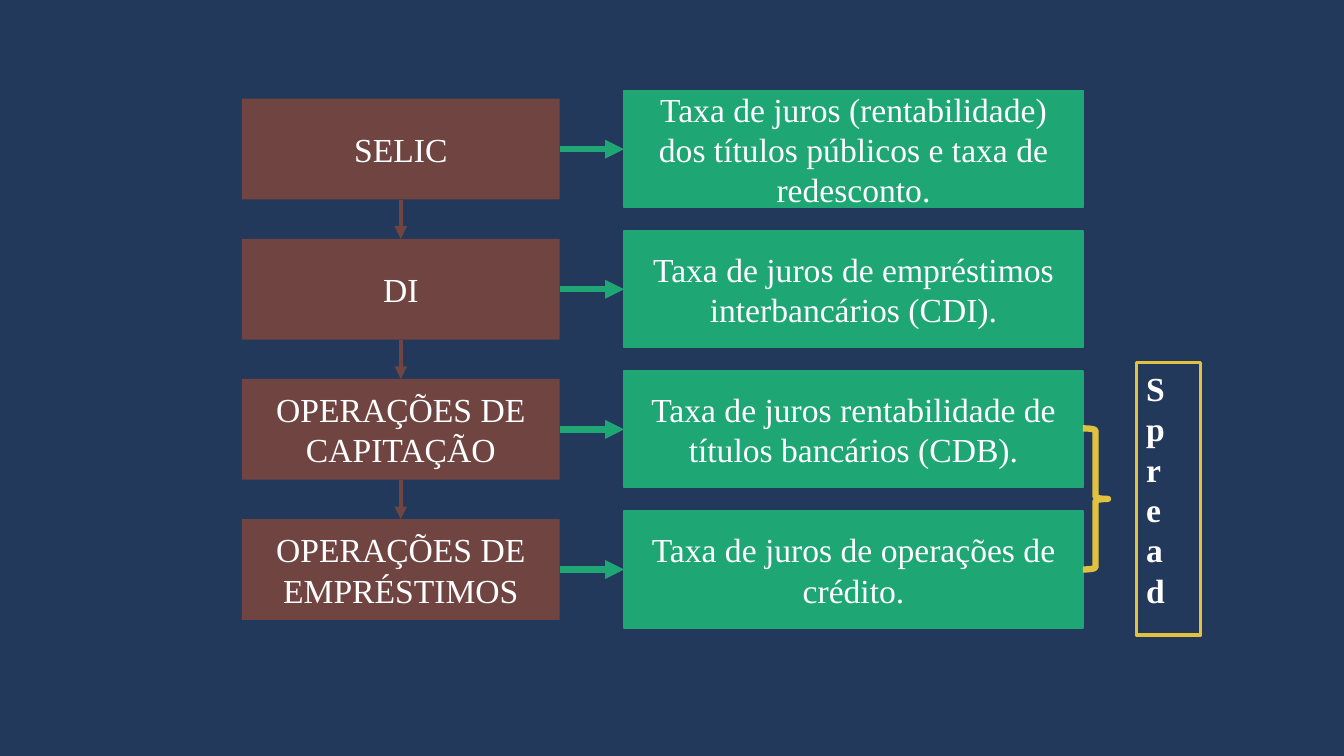
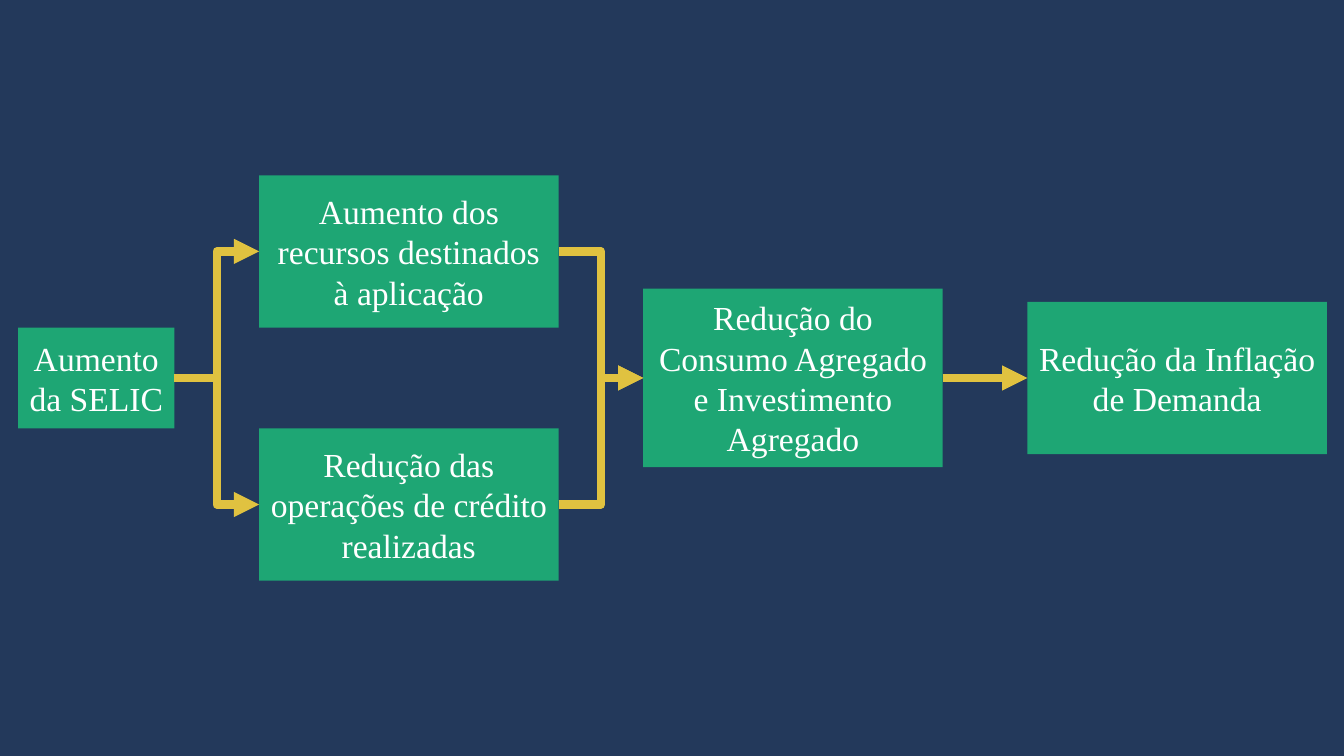
from collections import namedtuple
from dataclasses import dataclass

from lxml.etree import SubElement
from pptx import Presentation
from pptx.dml.color import RGBColor
from pptx.enum.shapes import MSO_CONNECTOR as Link, MSO_SHAPE as Shape
from pptx.enum.text import MSO_ANCHOR as Anchor, MSO_AUTO_SIZE as AutoSize, PP_ALIGN as Align
from pptx.oxml.ns import qn
from pptx.util import Inches, Pt

Box = namedtuple("Box", "left top width height")
TOP, LEFT, BOTTOM, RIGHT = range(4)  # connection sites of a rectangle


@dataclass(frozen=True)
class Theme:
    """Colours, font and sizes shared by the slides."""
    navy: RGBColor = RGBColor(0x23, 0x39, 0x5B)
    brown: RGBColor = RGBColor(0x70, 0x44, 0x41)
    green: RGBColor = RGBColor(0x1E, 0xA6, 0x74)
    yellow: RGBColor = RGBColor(0xE0, 0xC2, 0x40)
    white: RGBColor = RGBColor(0xFF, 0xFF, 0xFF)
    font: str = "Times New Roman"
    size: int = 24


THEME = Theme()
SLIDE = Box(0, 0, 13.33, 7.5)

RATES = [
    ("SELIC", "Taxa de juros (rentabilidade) dos títulos públicos e taxa de redesconto."),
    ("DI", "Taxa de juros de empréstimos interbancários (CDI)."),
    ("OPERAÇÕES DE CAPITAÇÃO", "Taxa de juros rentabilidade de títulos bancários (CDB)."),
    ("OPERAÇÕES DE EMPRÉSTIMOS", "Taxa de juros de operações de crédito."),
]


def add_figure(page, kind, box, fill=None, outline=None, weight=1):
    """Draw a preset shape without shadow; fill and outline are optional."""
    figure = page.shapes.add_shape(kind, *(Inches(length) for length in box))
    figure.shadow.inherit = False
    if fill is None:
        figure.fill.background()
    else:
        figure.fill.solid()
        figure.fill.fore_color.rgb = fill
    if outline is None:
        figure.line.fill.background()
    else:
        figure.line.color.rgb = outline
        figure.line.width = Pt(weight)
    return figure


def write(figure, text, align=Align.CENTER, anchor=Anchor.MIDDLE, bold=False):
    """Put white text into a shape."""
    frame = figure.text_frame
    frame.text = text
    frame.word_wrap = True
    frame.vertical_anchor = anchor
    para = frame.paragraphs[0]
    para.alignment = align
    font = para.runs[0].font
    font.name, font.size, font.bold = THEME.font, Pt(THEME.size), bold
    font.color.rgb = THEME.white


def add_label(page, box, text, fill, outline=None):
    """Draw a filled rectangle with centred text."""
    label = add_figure(page, Shape.RECTANGLE, box, fill, outline)
    write(label, text)
    return label


def site_point(figure, site):
    """Return the position of a connection site."""
    across = {LEFT: 0, RIGHT: figure.width}.get(site, figure.width // 2)
    down = {TOP: 0, BOTTOM: figure.height}.get(site, figure.height // 2)
    return figure.left + across, figure.top + down


def add_arrow(page, start, end, color, weight, sites=(RIGHT, LEFT), kind=Link.STRAIGHT):
    """Join two shapes with an arrow that ends in a triangle."""
    arrow = page.shapes.add_connector(
        kind, *site_point(start, sites[0]), *site_point(end, sites[1]))
    arrow.begin_connect(start, sites[0])
    arrow.end_connect(end, sites[1])
    arrow.line.color.rgb = color
    arrow.line.width = Pt(weight)
    properties = arrow.element.spPr
    SubElement(properties.find(qn("a:ln")), qn("a:tailEnd"), type="triangle")
    SubElement(properties, qn("a:effectLst"))


def add_page(deck):
    """Add a blank slide with the navy backdrop."""
    page = deck.slides.add_slide(deck.slide_layouts[6])
    add_figure(page, Shape.RECTANGLE, SLIDE, THEME.navy, THEME.navy)
    return page


def draw_rates(page, box):
    """Stack the rates on the left and explain each one on the right."""
    pitch, name_width, name_height, text_height, text_width = 1.39, 3.15, 1, 1.16, 4.55
    inset = (text_height - name_height) / 2
    text_left = box.left + box.width - text_width
    above = None
    for row, (name, meaning) in enumerate(RATES):
        top = box.top + row * pitch
        rate = add_label(page, Box(box.left, top + inset, name_width, name_height),
                         name, THEME.brown)
        detail = add_label(page, Box(text_left, top, text_width, text_height),
                           meaning, THEME.green, THEME.green)
        add_arrow(page, rate, detail, THEME.green, 4.5)
        if above is not None:
            add_arrow(page, above, rate, THEME.brown, 3, (BOTTOM, TOP))
        above = rate


def draw_spread(page, box):
    """Brace the last two rates and name the gap between them."""
    brace_height, tag_width = 1.4, 0.64
    brace_top = box.top + (box.height - brace_height) / 2
    add_figure(page, Shape.RIGHT_BRACE, Box(box.left, brace_top, 0.25, brace_height),
               outline=THEME.yellow, weight=4.5)
    tag = add_figure(page, Shape.RECTANGLE,
                     Box(box.left + box.width - tag_width, box.top, tag_width, box.height),
                     outline=THEME.yellow, weight=2.25)
    write(tag, "Spread", Align.LEFT, Anchor.TOP, bold=True)
    frame = tag.text_frame
    frame.word_wrap = False
    frame.auto_size = AutoSize.SHAPE_TO_FIT_TEXT
    frame._txBody.bodyPr.set("vert", "wordArtVert")


def draw_effects(page, box):
    """Show how a higher rate leads, through two channels, to less inflation."""
    gap, cause_width, step_width, step_height = 0.84, 1.55, 2.97, 1.51
    middle = box.top + box.height / 2
    lefts = [box.left + cause_width + gap + column * (step_width + gap) for column in range(3)]

    def add_step(left, text, width=step_width, height=step_height, center=middle):
        return add_label(page, Box(left, center - height / 2, width, height), text, THEME.green)

    cause = add_step(box.left, "Aumento da SELIC", cause_width, 1)
    demand = add_step(lefts[1], "Redução do Consumo Agregado e Investimento Agregado",
                      height=1.77)
    inflation = add_step(lefts[2], "Redução da Inflação de Demanda")
    offset = (box.height - step_height) / 2
    channels = [
        add_step(lefts[0], "Aumento dos recursos destinados à aplicação", center=middle - offset),
        add_step(lefts[0], "Redução das operações de crédito realizadas", center=middle + offset),
    ]
    for channel in channels:
        add_arrow(page, cause, channel, THEME.yellow, 6, kind=Link.ELBOW)
        add_arrow(page, channel, demand, THEME.yellow, 6, kind=Link.ELBOW)
    add_arrow(page, demand, inflation, THEME.yellow, 6)


def main():
    """Build and save both slides."""
    deck = Presentation()
    deck.slide_width, deck.slide_height = Inches(SLIDE.width), Inches(SLIDE.height)
    rates_page = add_page(deck)
    draw_rates(rates_page, Box(2.4, 0.9, 8.34, 5.33))
    draw_spread(rates_page, Box(10.74, 3.6, 1.17, 2.7))
    draw_effects(add_page(deck), Box(0.18, 1.74, 12.99, 4.02))
    deck.save("out.pptx")


main()
